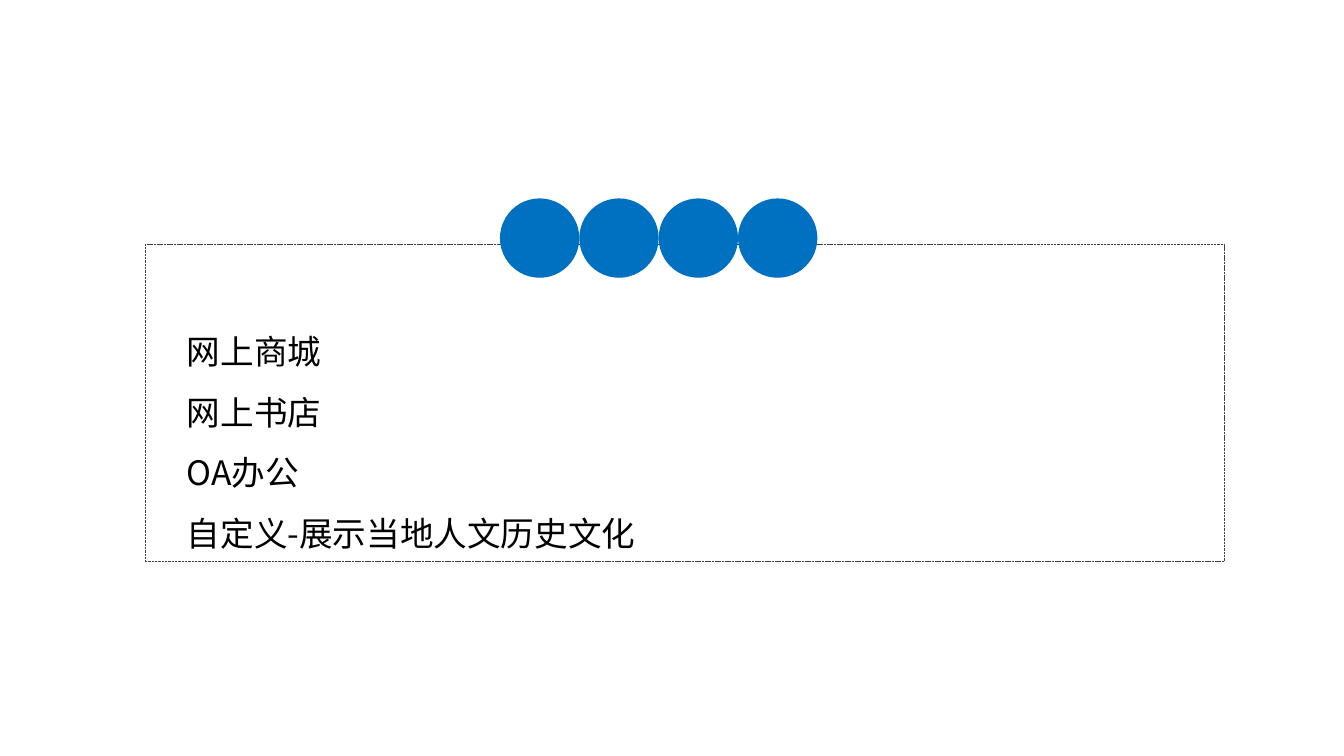
from lxml.etree import SubElement
from pptx import Presentation
from pptx.dml.color import RGBColor
from pptx.enum.dml import MSO_LINE
from pptx.enum.shapes import MSO_SHAPE
from pptx.enum.text import MSO_AUTO_SIZE
from pptx.oxml.ns import qn
from pptx.util import Cm, Pt

TOPICS = ["网上商城", "网上书店", "OA办公", "自定义-展示当地人文历史文化"]
FONT = "Noto Sans CJK SC"
FRAME = (3.66, 6.15, 27.2, 8)
TEXT_BOX = (4.37, 7.67, 26.39, 6.32)
CIRCLE_LEFT, CIRCLE_TOP, CIRCLE_SIZE, CIRCLE_COUNT = 12.6, 5, 2, 4


def rgb(value):
    """Return the colour for a hex string."""
    return RGBColor.from_string(value)


def add_shape(slide, kind, box):
    """Add a shadowless shape at a box given in centimetres."""
    s = slide.shapes.add_shape(kind, *map(Cm, box))
    s.shadow.inherit = False
    return s


def add_frame(slide):
    """Draw the dashed frame around the topics."""
    s = add_shape(slide, MSO_SHAPE.ROUNDED_RECTANGLE, FRAME)
    s.adjustments[0] = 0
    s.fill.background()
    s.line.color.rgb = rgb("404040")
    s.line.width = Pt(0.25)
    s.line.dash_style = MSO_LINE.SQUARE_DOT


def add_circles(slide):
    """Draw the row of touching circles on the frame's top edge."""
    for i in range(CIRCLE_COUNT):
        left = CIRCLE_LEFT + i * CIRCLE_SIZE
        s = add_shape(slide, MSO_SHAPE.OVAL, (left, CIRCLE_TOP, CIRCLE_SIZE, CIRCLE_SIZE))
        s.fill.solid()
        s.fill.fore_color.rgb = rgb("0070C0")
        s.line.fill.background()


def add_topics(slide):
    """Write one paragraph per topic."""
    tf = slide.shapes.add_textbox(*map(Cm, TEXT_BOX)).text_frame
    tf.word_wrap = True
    tf.auto_size = MSO_AUTO_SIZE.SHAPE_TO_FIT_TEXT
    tf.margin_left = tf.margin_right = Cm(0.34)
    tf.margin_top = tf.margin_bottom = Cm(0.17)
    tf.text = "\n".join(TOPICS)
    for p in tf.paragraphs:
        p.line_spacing = 1.5
        p.font.size = Pt(24)
        p.font.color.rgb = rgb("000000")
        p.font.name = FONT
        for r in p.runs:
            SubElement(r.font._element, qn("a:ea"), typeface=FONT)


def main():
    """Build the slide and save it."""
    prs = Presentation()
    prs.slide_width, prs.slide_height = Cm(33.87), Cm(19.05)
    slide = prs.slides.add_slide(prs.slide_layouts[6])
    add_frame(slide)
    add_circles(slide)
    add_topics(slide)
    prs.save("out.pptx")


if __name__ == "__main__":
    main()
